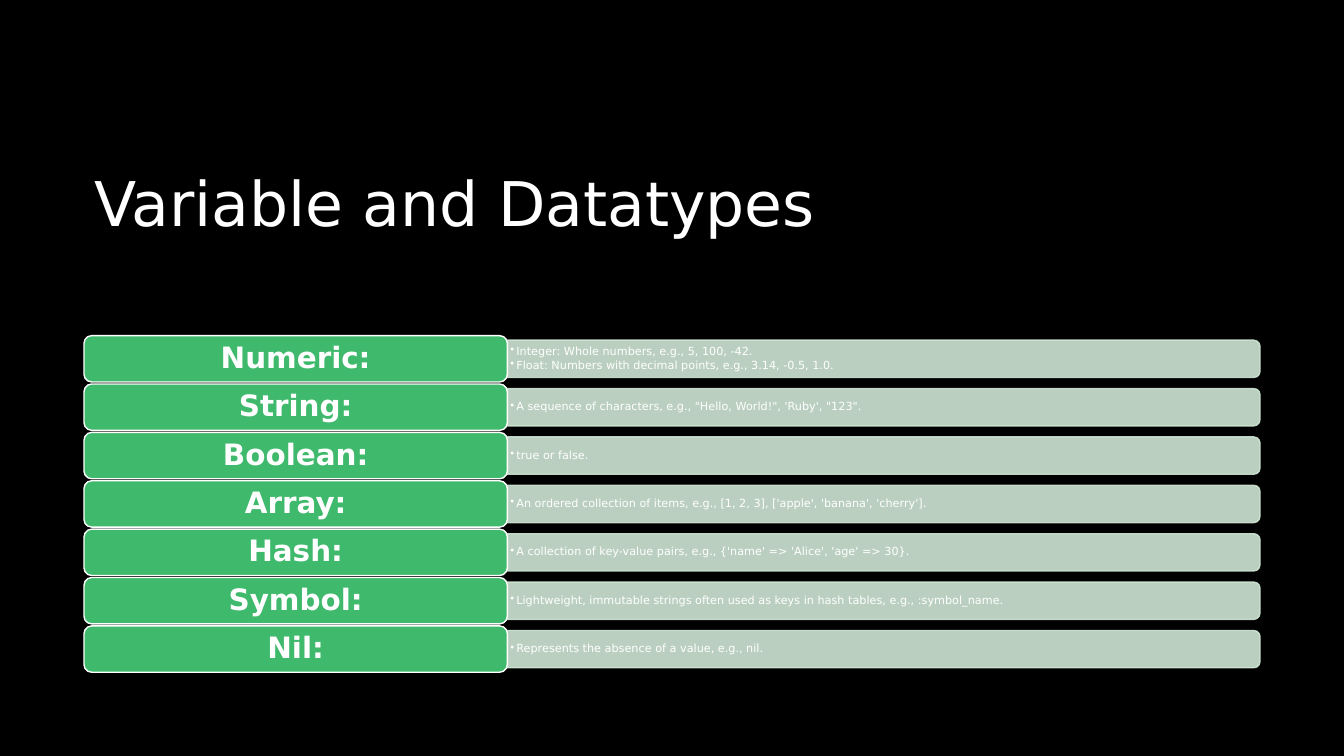
"""Build the Ruby datatypes slide: a title above seven labelled rows."""
from dataclasses import dataclass

from lxml import etree
from pptx import Presentation, util as u
from pptx.dml.color import RGBColor
from pptx.enum import shapes, text
from pptx.oxml.ns import qn


@dataclass(frozen=True)
class Theme:
    font: str = "DejaVu Sans"
    black: str = "000000"
    white: str = "FFFFFF"
    green: str = "3FB96C"
    mint: str = "CFE6D4"
    opacity: int = 90
    title_size: float = 44
    label_size: float = 21
    detail_size: float = 8
    line_width: float = 1
    line_spacing: float = 0.9


@dataclass(frozen=True)
class Grid:
    width: float = 13.33
    height: float = 7.5
    left: float = 13.33 / 16
    span: float = 13.33 * 7 / 8
    label_share: float = 0.36
    top: float = 3.33
    pitch: float = 0.48
    label_height: float = 0.46
    bar_height: float = 0.37

    @property
    def label_width(self) -> float:
        return self.span * self.label_share

    @property
    def bar_left(self) -> float:
        return self.left + self.label_width

    @property
    def bar_width(self) -> float:
        return self.span - self.label_width

    def middle(self, row: int) -> float:
        return self.top + row * self.pitch + self.label_height / 2


@dataclass(frozen=True)
class Datatype:
    name: str
    details: tuple[str, ...]


THEME = Theme()
GRID = Grid()
DATATYPES = (
    Datatype("Numeric:", ("Integer: Whole numbers, e.g., 5, 100, -42.",
                          "Float: Numbers with decimal points, e.g., 3.14, -0.5, 1.0.")),
    Datatype("String:", ("A sequence of characters, e.g., \"Hello, World!\", 'Ruby', \"123\".",)),
    Datatype("Boolean:", ("true or false.",)),
    Datatype("Array:", ("An ordered collection of items, e.g., [1, 2, 3], ['apple', 'banana', 'cherry'].",)),
    Datatype("Hash:", ("A collection of key-value pairs, e.g., {'name' => 'Alice', 'age' => 30}.",)),
    Datatype("Symbol:", ("Lightweight, immutable strings often used as keys in hash tables, e.g., :symbol_name.",)),
    Datatype("Nil:", ("Represents the absence of a value, e.g., nil.",)),
)


def place(shape, left: float, top: float, width: float, height: float) -> None:
    shape.left, shape.top = u.Inches(left), u.Inches(top)
    shape.width, shape.height = u.Inches(width), u.Inches(height)


def set_frame(frame, anchor, side: float, edge: float) -> None:
    frame.word_wrap = True
    frame.auto_size = text.MSO_AUTO_SIZE.NONE
    frame.vertical_anchor = anchor
    frame.margin_left = frame.margin_right = u.Inches(side)
    frame.margin_top = frame.margin_bottom = u.Inches(edge)


def add_span(para, words: str, size: float, bold: bool = False) -> None:
    para.line_spacing = THEME.line_spacing
    span = para.add_run()
    span.text = words
    span.font.name = THEME.font
    span.font.size = u.Pt(size)
    span.font.bold = bold
    span.font.color.rgb = RGBColor.from_string(THEME.white)


def set_bullet(para, indent: float) -> None:
    properties = para._p.get_or_add_pPr()
    properties.set("marL", str(u.Inches(indent)))
    properties.set("indent", str(-u.Inches(indent)))
    etree.SubElement(properties, qn("a:buChar"), char="•")


def paint(shape, fill: str, line: str) -> None:
    shape.shadow.inherit = False
    shape.fill.solid()
    shape.fill.fore_color.rgb = RGBColor.from_string(fill)
    shape.line.color.rgb = RGBColor.from_string(line)
    shape.line.width = u.Pt(THEME.line_width)


def set_opacity(shape, percent: int) -> None:
    for color in shape._element.spPr.iter(qn("a:srgbClr")):
        etree.SubElement(color, qn("a:alpha"), val=str(percent * 1000))


def add_title(page, words: str) -> None:
    title = page.shapes.title
    place(title, GRID.left, 1.67, GRID.width * 0.75, 1.38)
    set_frame(title.text_frame, text.MSO_ANCHOR.TOP, 0.1, 0.05)
    para = title.text_frame.paragraphs[0]
    para.alignment = text.PP_ALIGN.LEFT
    add_span(para, words, THEME.title_size)


def add_bar(page, middle: float) -> None:
    bar = page.shapes.add_shape(shapes.MSO_SHAPE.ROUND_2_SAME_RECTANGLE, 0, 0, 0, 0)
    center = GRID.bar_left + GRID.bar_width / 2
    place(bar, center - GRID.bar_height / 2, middle - GRID.bar_width / 2,
          GRID.bar_height, GRID.bar_width)
    bar.rotation = 90
    paint(bar, THEME.mint, THEME.mint)
    set_opacity(bar, THEME.opacity)


def add_details(page, details: tuple[str, ...], middle: float) -> None:
    box = page.shapes.add_textbox(0, 0, 0, 0)
    height = 0.33
    place(box, GRID.bar_left, middle - height / 2, GRID.bar_width, height)
    frame = box.text_frame
    set_frame(frame, text.MSO_ANCHOR.MIDDLE, 0.03, 0.02)
    for index, detail in enumerate(details):
        para = frame.add_paragraph() if index else frame.paragraphs[0]
        para.space_after = u.Pt(THEME.detail_size * 0.15)
        add_span(para, detail, THEME.detail_size)
        set_bullet(para, 0.06)


def add_label(page, name: str, middle: float) -> None:
    label = page.shapes.add_shape(shapes.MSO_SHAPE.ROUNDED_RECTANGLE, 0, 0, 0, 0)
    place(label, GRID.left, middle - GRID.label_height / 2,
          GRID.label_width, GRID.label_height)
    paint(label, THEME.green, THEME.white)
    set_frame(label.text_frame, text.MSO_ANCHOR.MIDDLE, 0.1, 0.04)
    para = label.text_frame.paragraphs[0]
    para.alignment = text.PP_ALIGN.CENTER
    add_span(para, name, THEME.label_size, bold=True)


def main() -> None:
    deck = Presentation()
    deck.slide_width, deck.slide_height = u.Inches(GRID.width), u.Inches(GRID.height)
    page = deck.slides.add_slide(deck.slide_layouts.get_by_name("Title Only"))
    page.background.fill.solid()
    page.background.fill.fore_color.rgb = RGBColor.from_string(THEME.black)
    add_title(page, "Variable and Datatypes")
    for row, datatype in enumerate(DATATYPES):
        middle = GRID.middle(row)
        add_bar(page, middle)
        add_details(page, datatype.details, middle)
        add_label(page, datatype.name, middle)
    deck.save("out.pptx")


if __name__ == "__main__":
    main()
